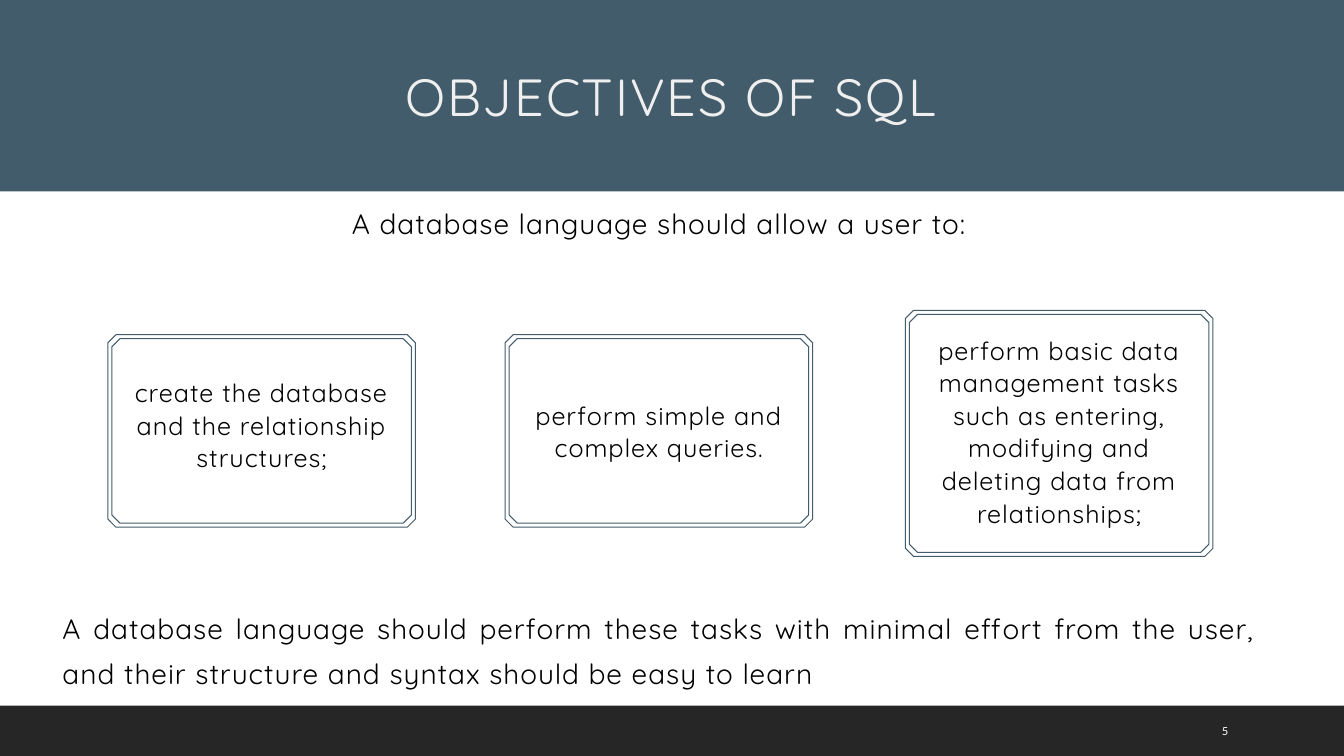
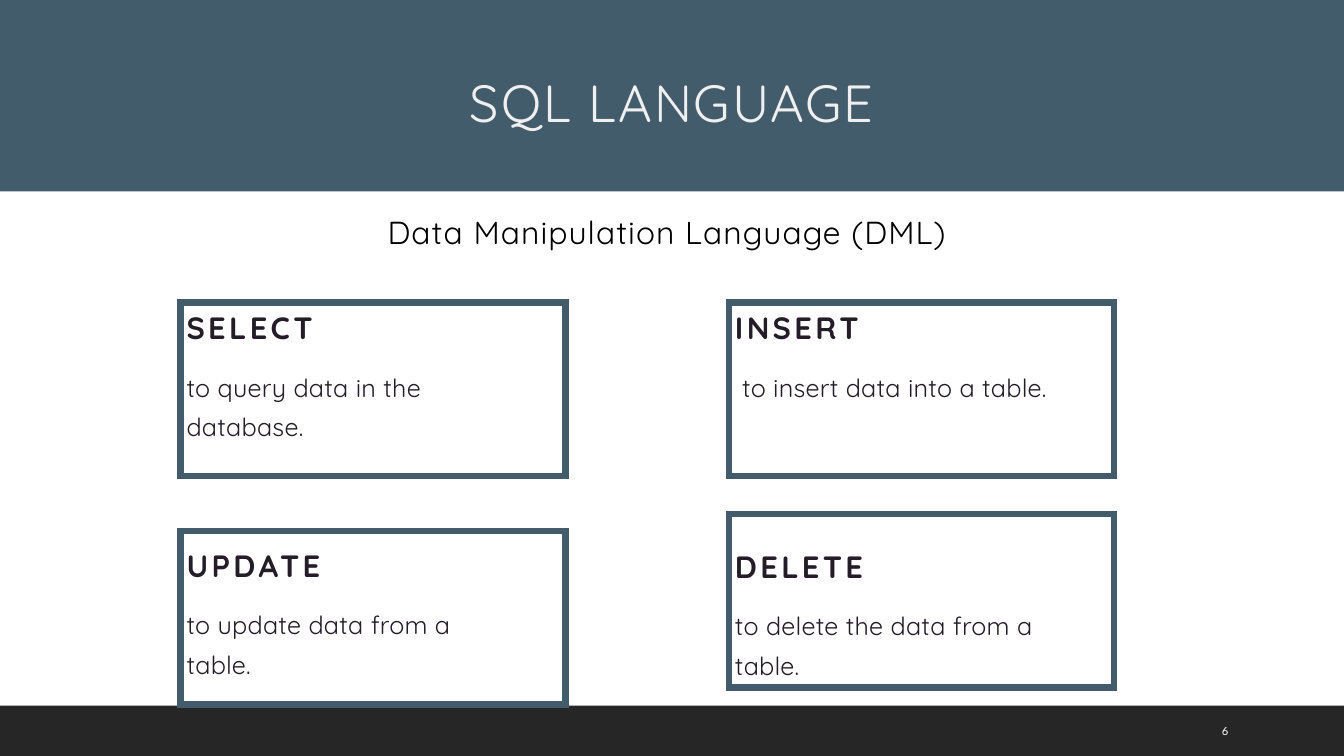
from lxml import etree
from pptx import Presentation
from pptx.dml.color import RGBColor
from pptx.enum.shapes import MSO_SHAPE as Preset
from pptx.enum.text import MSO_ANCHOR as Anchor, MSO_AUTO_SIZE as AutoSize, PP_ALIGN as Align
from pptx.oxml.ns import qn
from pptx.util import Inches, Pt

SLATE = RGBColor(0x42, 0x5C, 0x6B)
CHARCOAL = RGBColor(0x26, 0x26, 0x26)
PALE = RGBColor(0xEF, 0xEF, 0xEF)
PLUM = RGBColor(0x24, 0x1D, 0x27)
BLACK = RGBColor(0, 0, 0)
WHITE = RGBColor(0xFF, 0xFF, 0xFF)


def format_paragraph(para, size, color, tracking, leading, align=Align.CENTER, bold=False, gap=0):
    properties = para._p.get_or_add_pPr()
    properties.set("marL", "0")
    properties.set("indent", "0")
    etree.SubElement(properties, qn("a:buNone"))
    para.alignment = align
    para.line_spacing = Pt(leading)
    para.space_before = Pt(gap)
    for span in para.runs:
        span.font.name = "Quicksand"
        span.font.size = Pt(size)
        span.font.bold = bold
        span.font.color.rgb = color
        span._r.get_or_add_rPr().set("spc", str(round(tracking * 100)))


def fill_frame(shape, text, margins=(0, 0, 0, 0), anchor=Anchor.TOP):
    frame = shape.text_frame
    frame.text = text
    frame.word_wrap = True
    frame.auto_size = AutoSize.NONE
    frame.vertical_anchor = anchor
    frame.margin_left, frame.margin_top, frame.margin_right, frame.margin_bottom = map(Inches, margins)
    return frame.paragraphs


deck = Presentation()
deck.slide_width, deck.slide_height = Inches(13.33), Inches(7.5)
layout = deck.slide_layouts[1]

headers = [
    (5, "OBJECTIVES OF SQL", (1.98, 0.61), "A database language should allow a user to:",
     (0.62, 1.93, 11.83, 0.45), 20, 0.7, 32.2),
    (6, "SQL LANGUAGE", (1.99, 0.67), "Data Manipulation Language (DML)",
     (3.74, 2.1, 5.75, 0.76), 22.7, 0.8, 28.3),
]
pages = []
for number, title_text, title_place, body_text, body_place, size, tracking, leading in headers:
    page = deck.slides.add_slide(layout)
    pages.append(page)

    title = page.shapes.title
    title.left, title.top, title.width, title.height = map(Inches, (*title_place, 9.35, 0.65))
    format_paragraph(fill_frame(title, title_text)[0], 37.3, PALE, 1.3, 46.7)

    body = page.placeholders[1]
    body.left, body.top, body.width, body.height = map(Inches, body_place)
    format_paragraph(fill_frame(body, body_text)[0], size, BLACK, tracking, leading)

    number_box = page.shapes.add_textbox(Inches(12.02), Inches(7.05), Inches(0.85), Inches(0.4))
    para = fill_frame(number_box, str(number), (0.1, 0.05, 0.1, 0.05), Anchor.MIDDLE)[0]
    para.font.name = "Lato"
    para.font.size = Pt(8)
    para.font.color.rgb = WHITE

objectives, language = pages

for top, height, color in [(0, 1.9, SLATE), (7, 0.5, CHARCOAL)]:
    band = objectives.shapes.add_shape(Preset.RECTANGLE, 0, Inches(top), deck.slide_width, Inches(height))
    band.shadow.inherit = False
    band.fill.solid()
    band.fill.fore_color.rgb = color
    band.line.fill.background()
    layout.shapes.element.insert(2, band.element)

CARD_WIDTH, CHAMFER, CARD_INSET = 3.05, 0.08, 0.04
cards = [
    (1.07, 3.32, 1.91, 0.14, "create the database and the relationship structures;"),
    (5.01, 3.32, 1.91, 0.01, "perform simple and complex queries."),
    (8.98, 3.08, 2.44, 0.06, "perform basic data management tasks such as entering, "
                             "modifying and deleting data from relationships;"),
]
for left, top, height, text_lift, text in cards:
    for inset in (0, CARD_INSET):
        card = objectives.shapes.add_shape(
            Preset.OCTAGON, Inches(left + inset), Inches(top + inset),
            Inches(CARD_WIDTH - 2 * inset), Inches(height - 2 * inset))
        card.adjustments[0] = CHAMFER / (height - 2 * inset)
        card.shadow.inherit = False
        card.fill.background()
        card.line.color.rgb = SLATE
        card.line.width = Pt(0.7)
    para = fill_frame(card, text, (0.1, 0, 0.1, text_lift), Anchor.MIDDLE)[0]
    format_paragraph(para, 18, BLACK, 0.7, 23.3)

closing = objectives.shapes.add_textbox(Inches(0.62), Inches(5.95), Inches(11.83), Inches(0.95))
para = fill_frame(closing, "A database language should perform these tasks with minimal effort from the user, "
                           "and their structure and syntax should be easy to learn")[0]
format_paragraph(para, 20, BLACK, 0.7, 32.2, Align.JUSTIFY)

commands = [
    (1.79, 3, 0, "SELECT", "to query data in the database."),
    (7.23, 3, 0, "INSERT", " to insert data into a table."),
    (1.79, 5.27, 0.09, "UPDATE", "to update data from a table."),
    (7.23, 5.1, 0.27, "DELETE", "to delete the data from a table."),
]
for left, top, text_drop, keyword, purpose in commands:
    command = language.shapes.add_shape(
        Preset.RECTANGLE, Inches(left), Inches(top), Inches(3.82), Inches(1.72))
    command.shadow.inherit = False
    command.fill.background()
    command.line.color.rgb = SLATE
    command.line.width = Pt(4.5)
    etree.SubElement(command.element.spPr.find(qn("a:ln")), qn("a:miter"), lim="800000")
    heading, detail = fill_frame(command, f"{keyword}\n{purpose}", (0.06, text_drop, 0.44, 0))
    format_paragraph(heading, 22, PLUM, 2.4, 30.8, Align.LEFT, bold=True)
    format_paragraph(detail, 18, PLUM, 0.2, 28, Align.LEFT, gap=12.4)

deck.save("out.pptx")
